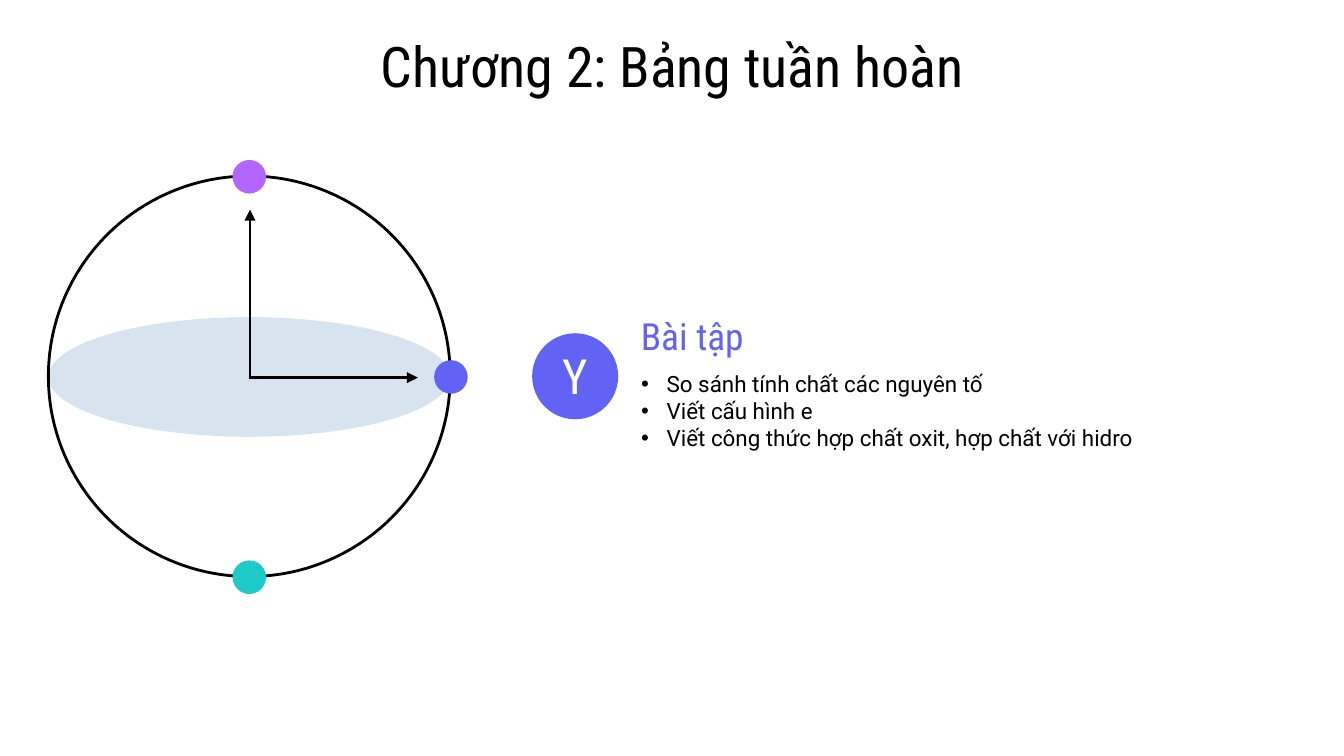
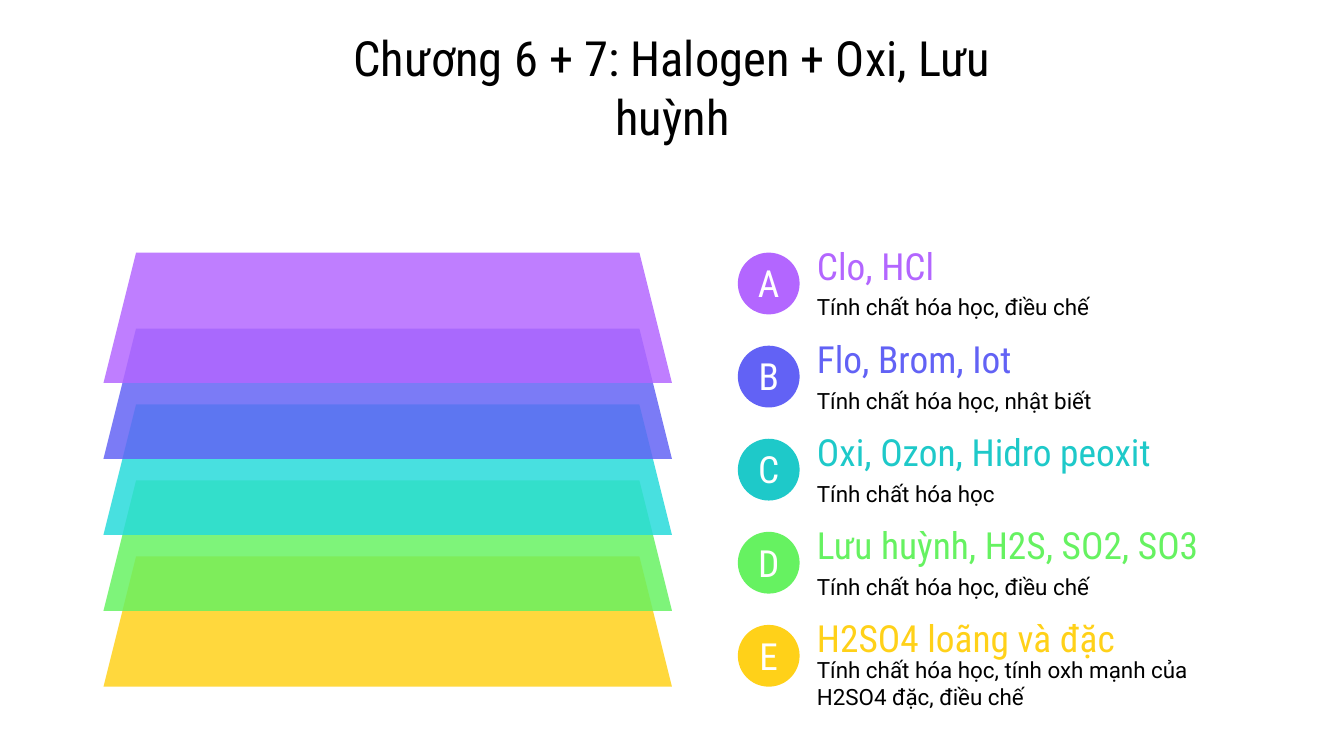
from dataclasses import dataclass

from lxml.etree import SubElement
from pptx import Presentation
from pptx.dml.color import RGBColor
from pptx.enum.shapes import MSO_CONNECTOR as Connector, MSO_SHAPE as Shape
from pptx.enum.text import MSO_ANCHOR as Anchor, MSO_AUTO_SIZE as AutoSize, PP_ALIGN as Align
from pptx.oxml.ns import qn
from pptx.util import Inches, Pt

BLACK, WHITE, DISK = "000000", "FFFFFF", "D7E4F0"
PURPLE, INDIGO, TEAL, GREEN, YELLOW = "B366FF", "6262F5", "1EC9C9", "66F261", "FFD119"
BRIGHT_TEAL = "25DBDB"
HEAD_FONT, TEXT_FONT = "Roboto Condensed", "Roboto"
SLIDE_SIZE = {"slide_width": Inches(10), "slide_height": Inches(10) * 9 // 16}


@dataclass(frozen=True)
class Box:
    left: float
    top: float
    width: float
    height: float

    def lengths(self):
        return [Inches(v) for v in (self.left, self.top, self.width, self.height)]


@dataclass(frozen=True)
class Style:
    size: float
    font: str = HEAD_FONT
    color: str = BLACK
    align: Align = Align.LEFT


@dataclass(frozen=True)
class Topic:
    letter: str
    color: str
    plate_color: str
    heading: str
    detail: str
    detail_offset: float = 0.36


DETAIL = Style(12, TEXT_FONT)
TOPICS = [
    Topic("A", PURPLE, PURPLE, "Clo, HCl", "Tính chất hóa học, điều chế"),
    Topic("B", INDIGO, INDIGO, "Flo, Brom, Iot", "Tính chất hóa học, nhật biết"),
    Topic("C", TEAL, BRIGHT_TEAL, "Oxi, Ozon, Hidro peoxit", "Tính chất hóa học"),
    Topic("D", GREEN, GREEN, "Lưu huỳnh, H2S, SO2, SO3", "Tính chất hóa học, điều chế"),
    Topic("E", YELLOW, YELLOW, "H2SO4 loãng và đặc",
          "Tính chất hóa học, tính oxh mạnh của H2SO4 đặc, điều chế", 0.39),
]
EXERCISES = [
    "So sánh tính chất các nguyên tố",
    "Viết cấu hình e",
    "Viết công thức hợp chất oxit, hợp chất với hidro",
]


def apply(target, values: dict) -> None:
    for name, value in values.items():
        setattr(target, name, value)


def rgb(color: str) -> RGBColor:
    return RGBColor.from_string(color)


def write(shape, lines: list[str], style: Style, side: float = 0.1, bottom: float = 0.1) -> None:
    frame = shape.text_frame
    apply(frame, {
        "word_wrap": True, "auto_size": AutoSize.NONE, "vertical_anchor": Anchor.MIDDLE,
        "margin_left": Inches(side), "margin_right": Inches(side),
        "margin_top": Inches(0.1), "margin_bottom": Inches(bottom),
    })
    for index, line in enumerate(lines):
        para = frame.add_paragraph() if index else frame.paragraphs[0]
        apply(para, {"alignment": style.align, "space_before": Pt(0)})
        span = para.add_run()
        span.text = line
        apply(span.font, {"name": style.font, "size": Pt(style.size)})
        span.font.color.rgb = rgb(style.color)


def add_text(slide, box: Box, line: str, style: Style) -> None:
    write(slide.shapes.add_textbox(*box.lengths()), [line], style)


def fill_placeholder(holder, box: Box, lines: list[str], style: Style) -> None:
    apply(holder, dict(zip(("left", "top", "width", "height"), box.lengths())))
    write(holder, lines, style)


def add_bullets(holder) -> None:
    for para in holder.text_frame.paragraphs:
        props = para._p.get_or_add_pPr()
        props.set("marL", str(Inches(0.19)))
        props.set("indent", str(Inches(-0.19)))
        SubElement(SubElement(props, qn("a:buClr")), qn("a:srgbClr"), val=BLACK)
        SubElement(props, qn("a:buChar"), char="•")


def add_filled(slide, kind: Shape, box: Box, color: str):
    shape = slide.shapes.add_shape(kind, *box.lengths())
    shape.shadow.inherit = False
    shape.fill.solid()
    shape.fill.fore_color.rgb = rgb(color)
    shape.line.fill.background()
    return shape


def add_badge(slide, left: float, top: float, size: float, letter: str, points: float, color: str) -> None:
    badge = add_filled(slide, Shape.OVAL, Box(left, top, size, size), color)
    write(badge, [letter], Style(points, color=WHITE, align=Align.CENTER), side=0, bottom=0.11)


def add_plate(slide, box: Box, color: str) -> None:
    plate = add_filled(slide, Shape.TRAPEZOID, box, color)
    plate.adjustments[0] = 0.25
    tint = plate._element.spPr.find(qn("a:solidFill")).find(qn("a:srgbClr"))
    SubElement(tint, qn("a:alpha"), val="84000")


def draw_outline(line) -> None:
    line.color.rgb = rgb(BLACK)
    line.width = Pt(1.5)


def add_arrow(slide, *ends: float) -> None:
    arrow = slide.shapes.add_connector(Connector.STRAIGHT, *map(Inches, ends))
    draw_outline(arrow.line)
    SubElement(arrow.line._get_or_add_ln(), qn("a:tailEnd"), type="triangle")
    SubElement(arrow._element.spPr, qn("a:effectLst"))


def add_slide(deck, layout: int, title: str, top: float, height: float, size: float):
    slide = deck.slides.add_slide(deck.slide_layouts[layout])
    fill_placeholder(slide.shapes.title, Box(2.2, top, 5.61, height), [title],
                     Style(size, align=Align.CENTER))
    return slide


def build_periodic_table(deck) -> None:
    slide = add_slide(deck, 1, "Chương 2: Bảng tuần hoàn", 0.3, 0.37, 30)
    add_filled(slide, Shape.OVAL, Box(0.36, 2.36, 2.99, 0.89), DISK)
    sphere = slide.shapes.add_shape(Shape.OVAL, *Box(0.36, 1.31, 2.99, 2.98).lengths())
    sphere.shadow.inherit = False
    sphere.fill.background()
    draw_outline(sphere.line)
    for left, top, color in ((1.73, 1.19, PURPLE), (1.73, 4.17, TEAL), (3.23, 2.68, INDIGO)):
        add_filled(slide, Shape.OVAL, Box(left, top, 0.25, 0.25), color)
    add_badge(slide, 3.96, 2.48, 0.64, "Y", 26, INDIGO)
    add_text(slide, Box(4.67, 2.31, 4.25, 0.37), "Bài tập", Style(20, color=INDIGO))
    body = slide.placeholders[1]
    fill_placeholder(body, Box(4.67, 2.74, 4.25, 0.63), EXERCISES, DETAIL)
    add_bullets(body)
    add_arrow(slide, 1.86, 2.81, 1.86, 1.56)
    add_arrow(slide, 1.85, 2.81, 3.11, 2.81)


def build_halogens(deck) -> None:
    slide = add_slide(deck, 5, "Chương 6 + 7: Halogen + Oxi, Lưu huỳnh", 0.33, 0.63, 26)
    row_step = (4.56 - 1.79) / (len(TOPICS) - 1)
    plate_step = (4.14 - 1.88) / (len(TOPICS) - 1)
    for index, topic in enumerate(TOPICS):
        top = 1.79 + index * row_step
        add_text(slide, Box(5.98, top, 3.25, 0.37), topic.heading, Style(20, color=topic.color))
        add_text(slide, Box(5.98, top + topic.detail_offset, 3.25, 0.27), topic.detail, DETAIL)
        add_badge(slide, 5.49, top + 0.09, 0.46, topic.letter, 20, topic.color)
    for index, topic in reversed(list(enumerate(TOPICS))):
        add_plate(slide, Box(0.77, 1.88 + index * plate_step, 4.23, 0.97), topic.plate_color)


def main() -> None:
    """Build the two chemistry review slides."""
    deck = Presentation()
    apply(deck, SLIDE_SIZE)
    build_periodic_table(deck)
    build_halogens(deck)
    deck.save("out.pptx")


if __name__ == "__main__":
    main()
